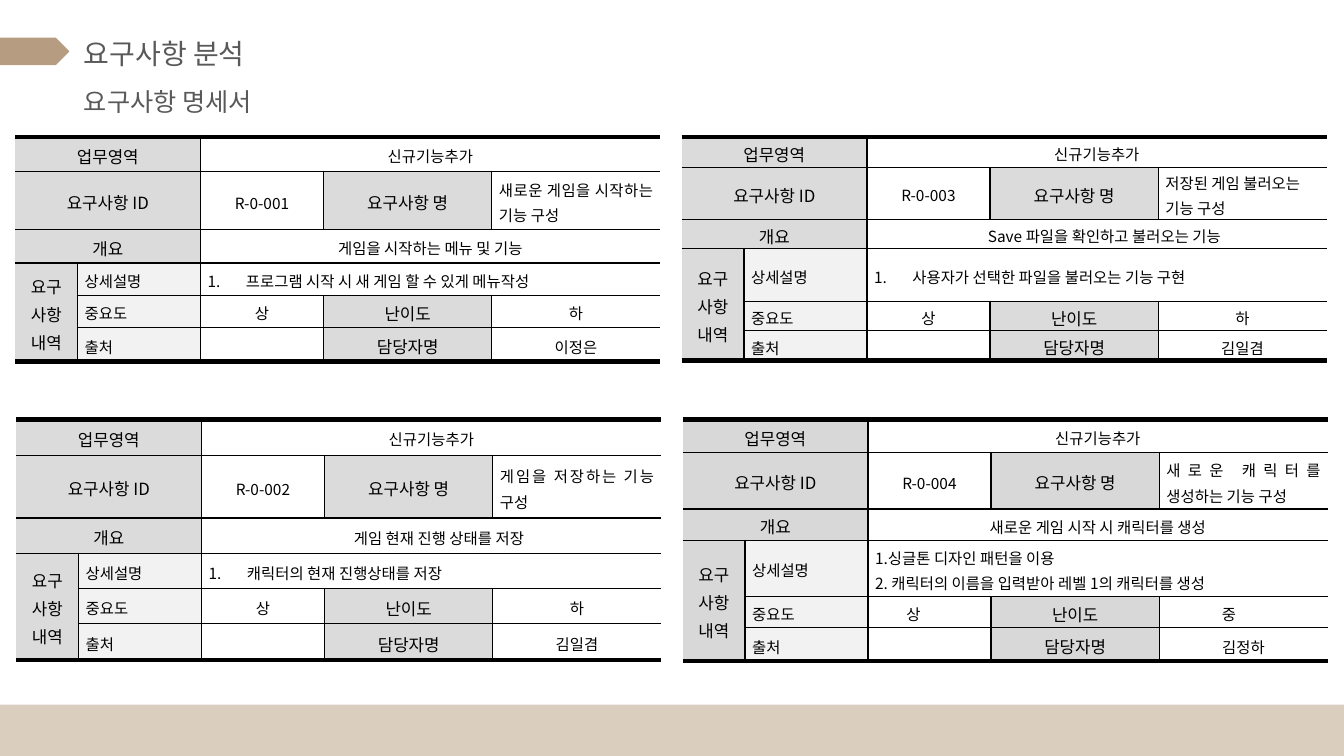
import dataclasses
import pptx
import pptx.util
import pptx.dml.color
import pptx.enum.shapes
import pptx.enum.text
import pptx.oxml.ns
import lxml.etree

Inches, Pt = pptx.util.Inches, pptx.util.Pt
ALIGN = pptx.enum.text.PP_ALIGN
ANCHOR = pptx.enum.text.MSO_ANCHOR
SHAPE = pptx.enum.shapes.MSO_SHAPE


@dataclasses.dataclass(frozen=True)
class Theme:
    font: str = "Noto Sans CJK KR"
    sand: str = "DACEBE"
    tan: str = "B69D81"
    white: str = "FFFFFF"
    gray: str = "595959"
    black: str = "000000"
    pale: str = "F2F2F2"
    title: int = 20
    sub: int = 18
    head: int = 12
    body: int = 11
    thin: float = 1
    thick: float = 3.75


def color(code):
    return pptx.dml.color.RGBColor.from_string(code)


def add(parent, tag, **attrs):
    """Append one DrawingML element."""
    node = lxml.etree.SubElement(parent, pptx.oxml.ns.qn(tag))
    for name, value in attrs.items():
        node.set(name, str(value))
    return node


class Deck:
    def __init__(self, theme):
        self.theme = theme
        self.file = pptx.Presentation()
        self.file.slide_width = Inches(13.33)
        self.file.slide_height = Inches(7.5)
        self.slide = self.file.slides.add_slide(self.file.slide_layouts[5])
        fill = self.slide.background.fill
        fill.solid()
        fill.fore_color.rgb = color(theme.sand)

    def shape(self, kind, box, fill, line=None):
        item = self.slide.shapes.add_shape(kind, *map(Inches, box))
        item.shadow.inherit = False
        item.fill.solid()
        item.fill.fore_color.rgb = color(fill)
        if line:
            item.line.color.rgb = color(line)
            item.line.width = Pt(self.theme.thin)
        else:
            item.line.fill.background()

    def run(self, par, text, size, ink):
        run = par.add_run()
        run.text = text
        run.font.size = Pt(size)
        run.font.name = self.theme.font
        run.font.color.rgb = color(ink)
        add(run.font._element, "a:ea", typeface=self.theme.font)

    def label(self, item, box, text, size, align):
        item.left, item.top, item.width, item.height = map(Inches, box)
        frame = item.text_frame
        frame.word_wrap = True
        frame.auto_size = pptx.enum.text.MSO_AUTO_SIZE.NONE
        frame.vertical_anchor = ANCHOR.TOP
        par = frame.paragraphs[0]
        par.alignment = align
        self.run(par, text, size, self.theme.gray)

    def title(self, box, text):
        item = self.slide.shapes.title
        self.slide.shapes.element.append(item.element)  # bring to front
        self.label(item, box, text, self.theme.title, ALIGN.LEFT)

    def text(self, box, text):
        item = self.slide.shapes.add_textbox(*map(Inches, box))
        self.label(item, box, text, self.theme.sub, ALIGN.CENTER)

    def edge(self, cell, side, width):
        line = add(cell._tc.get_or_add_tcPr(), "a:ln" + side, w=int(Pt(width)))
        if width:
            add(add(line, "a:solidFill"), "a:srgbClr", val=self.theme.black)
        else:
            add(line, "a:noFill")

    def cell(self, cell, text, align, size, fill=None, indent=0, number=False):
        cell.vertical_anchor = ANCHOR.MIDDLE
        cell.margin_left = cell.margin_right = Inches(0.07)
        cell.margin_top = cell.margin_bottom = 0
        if fill:
            cell.fill.solid()
            cell.fill.fore_color.rgb = color(fill)
        else:
            cell.fill.background()
        frame = cell.text_frame
        for i, part in enumerate(text.split("\n")):
            par = frame.add_paragraph() if i else frame.paragraphs[0]
            par.alignment = align
            par.line_spacing = 1.15
            props = par._p.get_or_add_pPr()
            if indent:
                props.set("marL", str(Inches(indent)))
            if number:
                props.set("indent", str(-Inches(indent)))
                add(props, "a:buFont", typeface="+mj-lt")
                add(props, "a:buAutoNum", type="arabicPeriod")
            if not part:
                add(par._p, "a:endParaRPr", sz=size * 100)
            for j, line in enumerate(part.split("|") if part else []):
                if j:
                    par.add_line_break()
                self.run(par, line, size, self.theme.black)

    def sheet(self, left, top, rows, shade, data):
        """One requirement form: fixed labels plus the values in data."""
        theme = self.theme
        box = map(Inches, (left, top, sum(COLS), sum(rows)))
        table = self.slide.shapes.add_table(len(rows), len(COLS), *box).table
        table.first_row = table.horz_banding = False
        for col, width in zip(table.columns, COLS):
            col.width = Inches(width)
        for row, height in zip(table.rows, rows):
            row.height = Inches(height)
        for r, c, down, right in SPANS:
            table.cell(r, c).merge(table.cell(r + down - 1, c + right - 1))

        # Borders: heavy top and bottom, open sides
        for r in range(len(rows)):
            for c in range(len(COLS)):
                cell = table.cell(r, c)
                if cell.is_spanned:
                    continue
                high = cell.span_height if cell.is_merge_origin else 1
                wide = cell.span_width if cell.is_merge_origin else 1
                self.edge(cell, "L", theme.thin if c else 0)
                self.edge(cell, "R", theme.thin if c + wide < len(COLS) else 0)
                self.edge(cell, "T", theme.thin if r else theme.thick)
                last = r + high == len(rows)
                self.edge(cell, "B", theme.thick if last else theme.thin)

        # Labels, then values
        for (r, c), text in HEADS.items():
            self.cell(table.cell(r, c), text, ALIGN.CENTER, theme.head, shade)
        for r, text in enumerate(SIDES, 3):
            self.cell(table.cell(r, 1), text, ALIGN.LEFT, theme.body, theme.pale)
        for spot, value in zip(SPOTS, data):
            text, indent, number = value if isinstance(value, tuple) else (value, 0, False)
            align = ALIGN.CENTER
            if spot in NOTES:
                align = ALIGN.JUSTIFY
            elif spot in PICKS and indent:
                align = ALIGN.LEFT
            self.cell(table.cell(*spot), text, align, theme.body, None, indent, number)


# Form layout
COLS = (0.62, 1.22, 1.22, 1.67, 1.67)
SPANS = ((0, 0, 1, 2), (0, 2, 1, 3), (1, 0, 1, 2), (2, 0, 1, 2),
         (2, 2, 1, 3), (3, 0, 3, 1), (3, 2, 1, 3))
HEADS = {(0, 0): "업무영역", (1, 0): "요구사항 ID", (1, 3): "요구사항 명",
         (2, 0): "개요", (3, 0): "요구|사항|내역", (4, 3): "난이도",
         (5, 3): "담당자명"}
SIDES = ("상세설명", "중요도", "출처")
SPOTS = ((0, 2), (1, 2), (1, 4), (2, 2), (3, 2), (4, 2), (4, 4), (5, 2), (5, 4))
NOTES = ((1, 4), (3, 2))
PICKS = ((4, 2), (4, 4))
NEW = "신규기능추가"

# Forms: left, top, row heights, label shade, values (text, indent, numbered)
SHEETS = (
    (0.15, 1.36, (0.34, 0.58, 0.33, 0.32, 0.32, 0.34), "DBDBDB",
     (NEW, "R-0-001", "새로운 게임을 시작하는 기능 구성", "게임을 시작하는 메뉴 및 기능",
      ("프로그램 시작 시 새 게임 할 수 있게 메뉴작성", 0.38, True),
      "상", "하", "", "이정은")),
    (0.16, 4.16, (0.36, 0.62, 0.35, 0.35, 0.35, 0.36), "DBDBDB",
     (NEW, "R-0-002", "게임을 저장하는 기능 구성",
      ("게임 현재 진행 상태를 저장", 0.15, False),
      ("캐릭터의 현재 진행상태를 저장", 0.38, True),
      "상", "하", "", "김일겸")),
    (6.76, 1.36, (0.3, 0.52, 0.29, 0.52, 0.29, 0.3), "DBDBDB",
     (NEW, "R-0-003", "저장된 게임 불러오는\n기능 구성",
      ("Save 파일을 확인하고 불러오는 기능", 0.15, False),
      ("사용자가 선택한 파일을 불러오는 기능 구현", 0.38, True),
      "상", "하", "", "김일겸")),
    (6.77, 4.16, (0.33, 0.56, 0.31, 0.56, 0.31, 0.33), "D8D8D8",
     (NEW, "R-0-004", "새로운 캐릭터를 생성하는 기능 구성",
      "새로운 게임 시작 시 캐릭터를 생성",
      "1.싱글톤 디자인 패턴을 이용\n2. 캐릭터의 이름을 입력받아 레벨 1의 캐릭터를 생성",
      ("상", 0.31, False), ("중", 0.55, False), "", "김정하")),
)


def main():
    theme = Theme()
    deck = Deck(theme)
    # Page and headings
    deck.shape(SHAPE.RECTANGLE, (0, 0, 13.33, 6.99), theme.white)
    deck.text((0.04, 0.81, 3.25, 0.4), "요구사항 명세서")
    deck.title((0.73, 0.31, 2.13, 0.44), "요구사항 분석")
    deck.shape(SHAPE.PENTAGON, (0, 0.38, 0.68, 0.26), theme.tan, theme.tan)
    # Requirement forms
    for sheet in SHEETS:
        deck.sheet(*sheet)
    deck.file.save("out.pptx")


if __name__ == "__main__":
    main()
